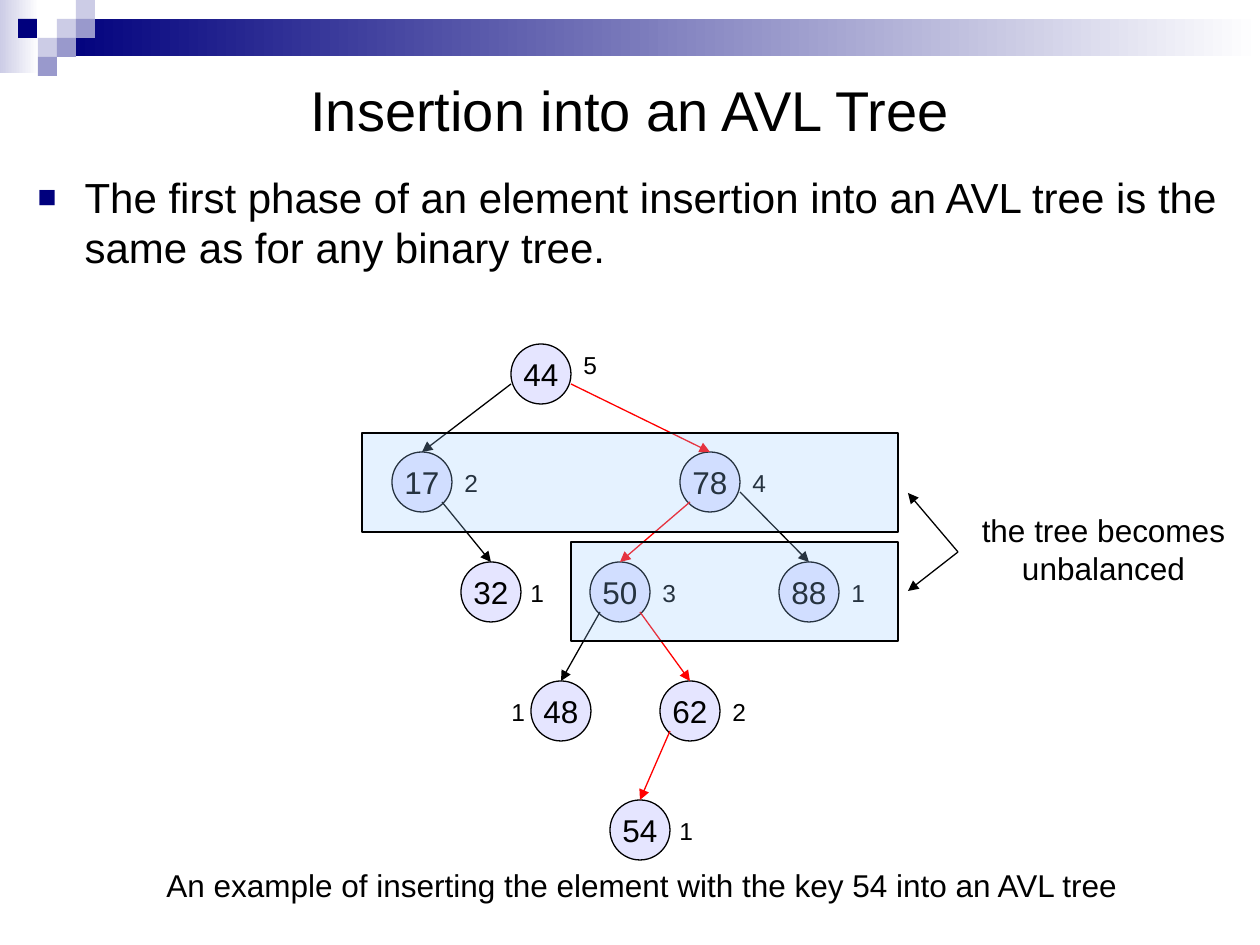
from lxml import etree
from pptx import Presentation
from pptx.dml.color import RGBColor
from pptx.enum.shapes import MSO_CONNECTOR, MSO_SHAPE
from pptx.enum.text import MSO_ANCHOR, MSO_AUTO_SIZE, PP_ALIGN
from pptx.oxml.ns import qn
from pptx.util import Emu, Pt

RECT, OVAL = MSO_SHAPE.RECTANGLE, MSO_SHAPE.OVAL
STRAIGHT = MSO_CONNECTOR.STRAIGHT
LEFT, CENTER = PP_ALIGN.LEFT, PP_ALIGN.CENTER
TOP, MIDDLE = MSO_ANCHOR.TOP, MSO_ANCHOR.MIDDLE
NO_FIT = MSO_AUTO_SIZE.NONE

BLACK = RGBColor(0x00, 0x00, 0x00)
WHITE = RGBColor(0xFF, 0xFF, 0xFF)
RED = RGBColor(0xFF, 0x00, 0x00)
NAVY = RGBColor(0x00, 0x00, 0x7D)
PALE = RGBColor(0xCC, 0xCC, 0xE6)
MAUVE = RGBColor(0x99, 0x99, 0xCC)
NODE_FILL = RGBColor(0x99, 0x99, 0xFF)
LEVEL_FILL = RGBColor(0x99, 0xCC, 0xFF)

EMU_PER_PX = 914400 / 126
NODE = 60  # node diameter
SQUARE = 19  # corner mosaic square


def px(*values):
    return [Emu(round(v * EMU_PER_PX)) for v in values]


def add_xml(parent, tag, **attrs):
    return etree.SubElement(parent, qn(tag), attrs)


class TreeSlide:
    """Holds the style and the slide being drawn."""
    font = "Arial"
    line_width = Pt(0.75)

    def __init__(self, slide):
        self.s = slide

    def fill_text(self, sp, lines, size, align=LEFT, anchor=TOP, wrap=False):
        tf = sp.text_frame
        frame = {"word_wrap": wrap, "auto_size": NO_FIT, "vertical_anchor": anchor}
        for name, value in frame.items():
            setattr(tf, name, value)
        for i, line in enumerate(lines):
            p = tf.paragraphs[0] if i == 0 else tf.add_paragraph()
            p.alignment, p.space_before = align, Pt(0)
            r = p.add_run()
            r.text = line
            for name, value in {"name": self.font, "size": Pt(size)}.items():
                setattr(r.font, name, value)
            r.font.color.rgb = BLACK

    def placeholder(self, index, box, text, size, **style):
        sp = self.s.placeholders[index]
        sp.left, sp.top, sp.width, sp.height = px(*box)
        self.fill_text(sp, [text], size, wrap=True, **style)
        return sp

    def bullet_body(self, box, text, size):
        sp = self.placeholder(1, box, text, size)
        pPr = sp.text_frame.paragraphs[0]._p.get_or_add_pPr()
        indent = px(47)[0]
        pPr.set("marL", str(indent))
        pPr.set("indent", str(-indent))
        add_xml(add_xml(pPr, "a:buClr"), "a:srgbClr", val=str(NAVY))
        add_xml(pPr, "a:buSzPct", val="75000")
        add_xml(pPr, "a:buFont", typeface=self.font)
        add_xml(pPr, "a:buChar", char="■")

    def shape(self, kind, box, color, fade_to=None, alpha=None, outline=False):
        sp = self.s.shapes.add_shape(kind, *px(*box))
        sp.shadow.inherit = False
        if fade_to is None:
            sp.fill.solid()
            sp.fill.fore_color.rgb = color
        else:
            sp.fill.gradient()
            sp.fill.gradient_angle = 0
            for stop, rgb in zip(sp.fill.gradient_stops, (color, fade_to)):
                stop.color.rgb = rgb
        if alpha is not None:
            clr = sp._element.spPr.find(qn("a:solidFill"))[0]
            add_xml(clr, "a:alpha", val=str(alpha * 1000))
        if outline:
            sp.line.color.rgb = BLACK
            sp.line.width = self.line_width
        else:
            sp.line.fill.background()
        return sp

    def node(self, key, left, top):
        sp = self.shape(OVAL, (left, top, NODE, NODE), NODE_FILL, alpha=25, outline=True)
        self.fill_text(sp, [key], 18, CENTER, MIDDLE)
        return sp

    def text(self, box, lines, size, align=LEFT):
        self.fill_text(self.s.shapes.add_textbox(*px(*box)), lines, size, align)

    def arrow(self, start, end, color=BLACK, target=None):
        c = self.s.shapes.add_connector(STRAIGHT, *px(*start, *end))
        if target is not None:
            c.end_connect(target, 0)
        c.line.color.rgb = color
        c.line.width = self.line_width
        add_xml(c.line._get_or_add_ln(), "a:tailEnd", type="triangle")
        add_xml(c._element.spPr, "a:effectLst")


# key: left, top, height label, label offset from the node
NODES = {
    "44": (511, 344, "5", (60, 0)),
    "17": (392, 452, "2", (60, 10)),
    "78": (680, 452, "4", (60, 10)),
    "88": (779, 562, "1", (60, 10)),
    "50": (590, 562, "3", (60, 10)),
    "32": (461, 562, "1", (57, 10)),
    "48": (531, 681, "1", (-32, 10)),
    "62": (660, 681, "2", (60, 10)),
    "54": (610, 800, "1", (57, 10)),
}

# Points where an edge leaves its parent, from the node's top left
SIDE_L, SIDE_R = (0, 40), (NODE, 40)
LOW_L, LOW_R = (10, 50), (50, 50)

EDGES = [
    ("44", "17", SIDE_L, BLACK), ("44", "78", SIDE_R, RED),
    ("17", "32", LOW_R, BLACK), ("78", "50", LOW_L, RED),
    ("78", "88", SIDE_R, BLACK), ("50", "48", LOW_L, BLACK),
    ("50", "62", LOW_R, RED), ("62", "54", LOW_L, RED),
]

# Corner mosaic squares: left, top, colour
MOSAIC = [
    (57, 19, PALE), (76, 0, PALE), (76, 19, MAUVE), (38, 38, PALE),
    (18, 19, NAVY), (57, 38, MAUVE), (38, 57, MAUVE),
]


def main():
    prs = Presentation()
    prs.slide_width, prs.slide_height = px(1260, 945)
    slide = TreeSlide(prs.slides.add_slide(prs.slide_layouts[1]))

    # Header band
    slide.shape(RECT, (0, 0, 39, 73), PALE, fade_to=WHITE)
    slide.shape(RECT, (57, 19, 1203, 37), NAVY, fade_to=WHITE)
    for left, top, color in MOSAIC:
        slide.shape(RECT, (left, top, SQUARE, SQUARE), color)

    # Title and body
    slide.placeholder(0, (63, 63, 1134, 92), "Insertion into an AVL Tree", 32,
                      align=CENTER, anchor=MIDDLE)
    slide.bullet_body((25, 165, 1211, 753), "The first phase of an element insertion "
                      "into an AVL tree is the same as for any binary tree.", 24)

    # Tree nodes with their heights
    nodes = {}
    for key, (left, top, height, (dx, dy)) in NODES.items():
        nodes[key] = slide.node(key, left, top)
        slide.text((left + dx, top + dy, 39, 43), [height], 14)

    # Edges, with the insertion path in red
    for parent, child, (dx, dy), color in EDGES:
        left, top = NODES[parent][:2]
        end = (NODES[child][0] + NODE // 2, NODES[child][1])
        slide.arrow((left + dx, top + dy), end, color, nodes[child])

    # Unbalanced levels
    for box in ((571, 542, 327, 99), (362, 433, 536, 99)):
        slide.shape(RECT, box, LEVEL_FILL, alpha=25, outline=True)
    slide.text((965, 505, 277, 88), ["the tree becomes", "unbalanced"], 18, CENTER)
    for y in (493, 591):
        slide.arrow((958, 552), (908, y))

    # Caption
    slide.text((154, 860, 982, 50),
               ["An example of inserting the element with the key 54 into an AVL tree"], 18)

    prs.save("out.pptx")


if __name__ == "__main__":
    main()
